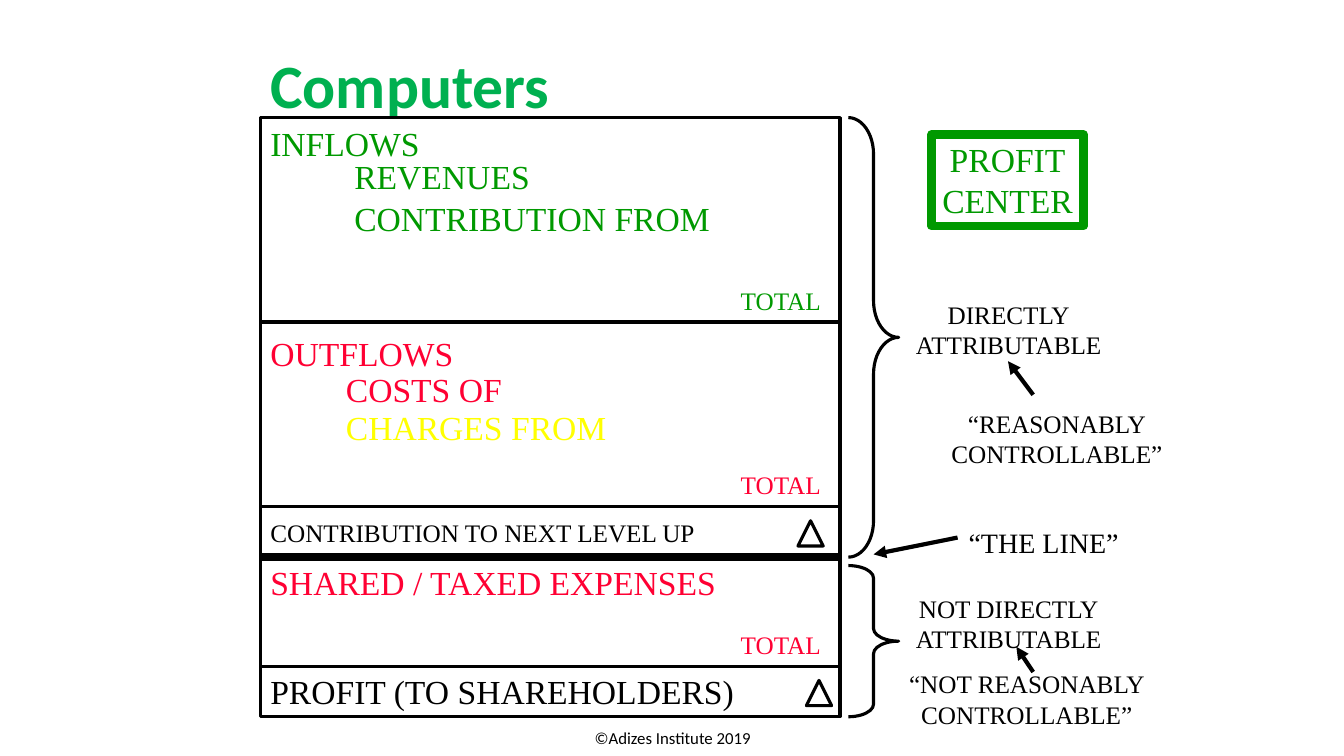
import pptx
import pptx.dml.color
import pptx.enum.shapes
import pptx.enum.text
import pptx.util
from lxml import etree

Pt = pptx.util.Pt
SHAPES = pptx.enum.shapes.MSO_SHAPE
ALIGN = pptx.enum.text.PP_ALIGN
ANCHOR = pptx.enum.text.MSO_ANCHOR

COLORS = {
    "black": "000000",
    "title": "00B050",
    "inflow": "009900",
    "outflow": "FF0033",
    "charge": "FFFF00",
}
SERIF = "Times New Roman"
SANS = "Calibri"


def rgb(color):
    return pptx.dml.color.RGBColor.from_string(COLORS[color])


def write(shape, lines, size, color, font=SERIF, align=ALIGN.LEFT,
          bold=False, wrap=False, anchor=ANCHOR.TOP, spacing=None):
    frame = shape.text_frame
    frame.word_wrap = wrap
    frame.vertical_anchor = anchor
    frame.text = "\n".join(lines)
    for paragraph in frame.paragraphs:
        paragraph.alignment = align
        if spacing:
            paragraph.line_spacing = spacing
        paragraph.font.name = font
        paragraph.font.size = Pt(size)
        paragraph.font.bold = bold
        paragraph.font.color.rgb = rgb(color)


def add_text(slide, left, top, width, height, lines, size, color, **style):
    shape = slide.shapes.add_textbox(Pt(left), Pt(top), Pt(width), Pt(height))
    write(shape, lines, size, color, **style)


def add_outline(slide, kind, left, top, width, height, color="black", weight=2.25):
    shape = slide.shapes.add_shape(kind, Pt(left), Pt(top), Pt(width), Pt(height))
    shape.shadow.inherit = False
    shape.fill.background()
    shape.line.color.rgb = rgb(color)
    shape.line.width = Pt(weight)
    return shape


def add_line(slide, start, end, weight, arrow=False):
    connector = slide.shapes.add_connector(
        pptx.enum.shapes.MSO_CONNECTOR.STRAIGHT,
        Pt(start[0]), Pt(start[1]), Pt(end[0]), Pt(end[1]))
    connector.line.color.rgb = rgb("black")
    connector.line.width = Pt(weight)
    properties = connector._element.spPr
    namespace = "{http://schemas.openxmlformats.org/drawingml/2006/main}"
    if arrow:
        line = properties.find(namespace + "ln")
        etree.SubElement(line, namespace + "tailEnd", type="triangle")
    etree.SubElement(properties, namespace + "effectLst")


def add_title(slide, left, top, width, height):
    add_text(slide, left, top, width, height, ["Computers"], 44, "title",
             font=SANS, bold=True, wrap=True, anchor=ANCHOR.MIDDLE, spacing=0.9)


def add_statement(slide, left, top, width, height):
    add_outline(slide, SHAPES.RECTANGLE, left, top, width, height)
    for y, weight in ((146, 2.25), (278, 2.25), (314, 6), (392, 2.25)):
        add_line(slide, (left, top + y), (left + width, top + y), weight)
    entries = (
        ("INFLOWS", 0, 0, 122, 24, "inflow"),
        ("REVENUES", 60, 24, 145, 24, "inflow"),
        ("CONTRIBUTION FROM", 60, 54, 271, 24, "inflow"),
        ("TOTAL", 336, 116, 72, 18, "inflow"),
        ("OUTFLOWS", 0, 150, 147, 24, "outflow"),
        ("COSTS OF", 54, 176, 127, 24, "outflow"),
        ("CHARGES FROM", 54, 203, 202, 24, "charge"),
        ("TOTAL", 336, 248, 72, 18, "outflow"),
        ("CONTRIBUTION TO NEXT LEVEL UP", 0, 282, 321, 18, "black"),
        ("SHARED / TAXED EXPENSES", 0, 314, 336, 24, "outflow"),
        ("TOTAL", 336, 362, 72, 18, "outflow"),
        ("PROFIT (TO SHAREHOLDERS)", 0, 392, 349, 24, "black"),
    )
    for text, x, y, entry_width, size, color in entries:
        add_text(slide, left + x, top + y, entry_width, size * 1.5, [text], size, color)
    for x, y in ((384, 288), (390, 402)):
        add_outline(slide, SHAPES.ISOSCELES_TRIANGLE, left + x, top + y, 18, 18)


def add_attribution(slide, left, top, width, height):
    for y, brace_height, curve in ((0, 314, 0.727), (height - 108, 108, 0.25)):
        brace = add_outline(slide, SHAPES.RIGHT_BRACE, left, top + y, 36, brace_height)
        brace.adjustments[0] = curve
        brace.adjustments[1] = 0.5
    notes = (
        (("DIRECTLY", "ATTRIBUTABLE"), 40.5, 126, 148, 18),
        (("“REASONABLY", "CONTROLLABLE”"), 66, 204, 166, 18),
        (("“THE LINE”",), 78, 288, 123, 20),
        (("NOT DIRECTLY", "ATTRIBUTABLE"), 40.5, 336, 148, 18),
        (("“NOT REASONABLY", "CONTROLLABLE”"), 36, 390, 183, 18),
    )
    for lines, x, y, note_width, size in notes:
        add_text(slide, left + x, top + y, note_width, 8 + 21.5 * len(lines),
                 lines, size, "black", align=ALIGN.CENTER)
    arrows = (((132, 198), (114, 174)), ((78, 300), (18, 312)), ((132, 396), (120, 378)))
    for start, end in arrows:
        add_line(slide, (left + start[0], top + start[1]),
                 (left + end[0], top + end[1]), 3, arrow=True)


def add_profit_center(slide, left, top, width, height):
    shape = add_outline(slide, SHAPES.RECTANGLE, left, top, width, height, "inflow", 6)
    write(shape, ("PROFIT", "CENTER"), 24, "inflow", align=ALIGN.CENTER)


def add_footer(slide, left, top, width, height):
    add_text(slide, left, top, width, height, ["©Adizes Institute 2019"], 12, "black",
             font=SANS, align=ALIGN.CENTER, wrap=True, spacing=0.93)


def main():
    presentation = pptx.Presentation()
    presentation.slide_width = Pt(960)
    presentation.slide_height = Pt(540)
    slide = presentation.slides.add_slide(presentation.slide_layouts[6])
    add_footer(slide, 320.5, 517.5, 320, 21.5)
    add_title(slide, 186, 18, 612, 90)
    add_statement(slide, 186, 84, 414, 428)
    add_attribution(slide, 606, 84, 232, 428)
    add_profit_center(slide, 665.5, 96, 108.5, 65.5)
    presentation.save("out.pptx")


if __name__ == "__main__":
    main()
